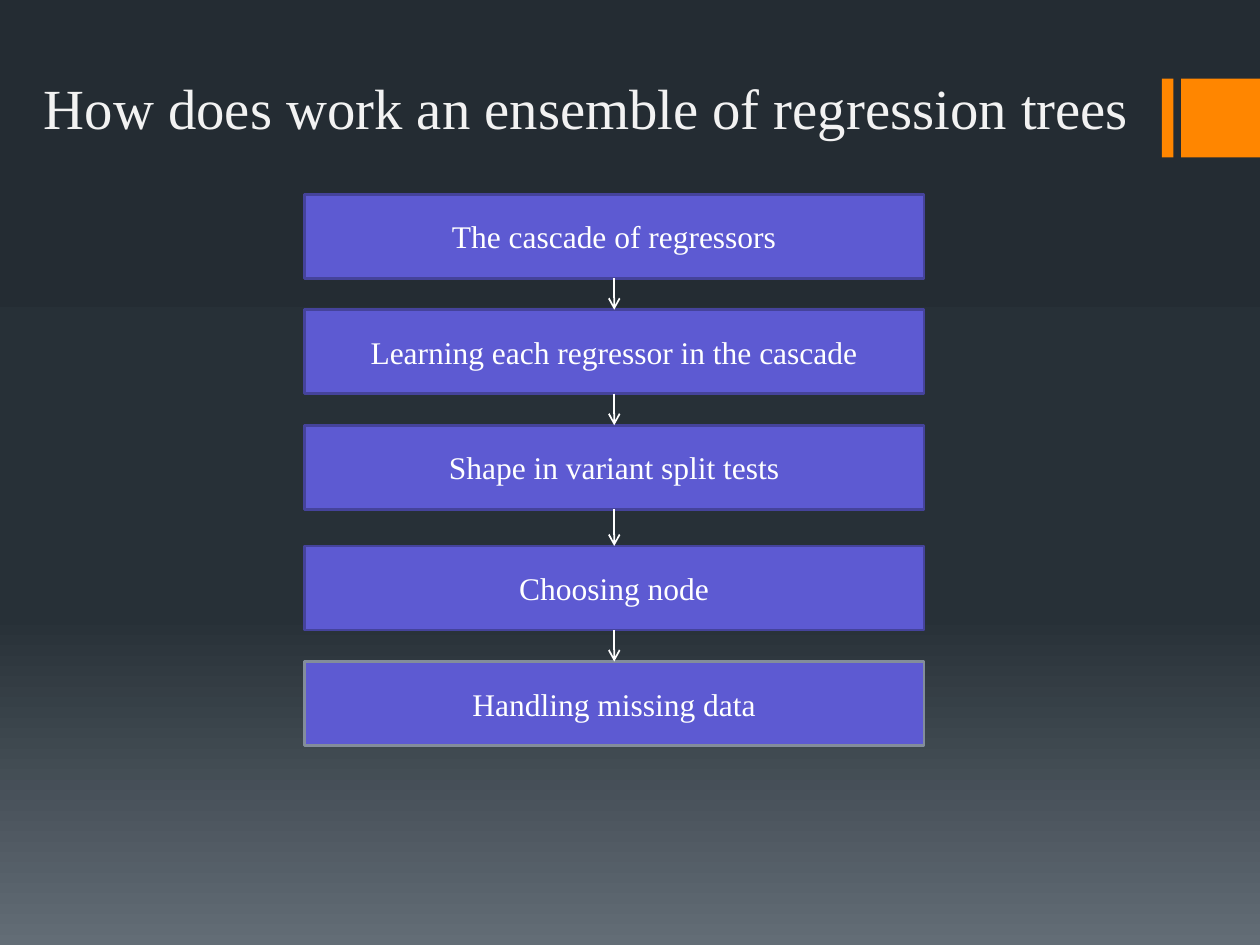
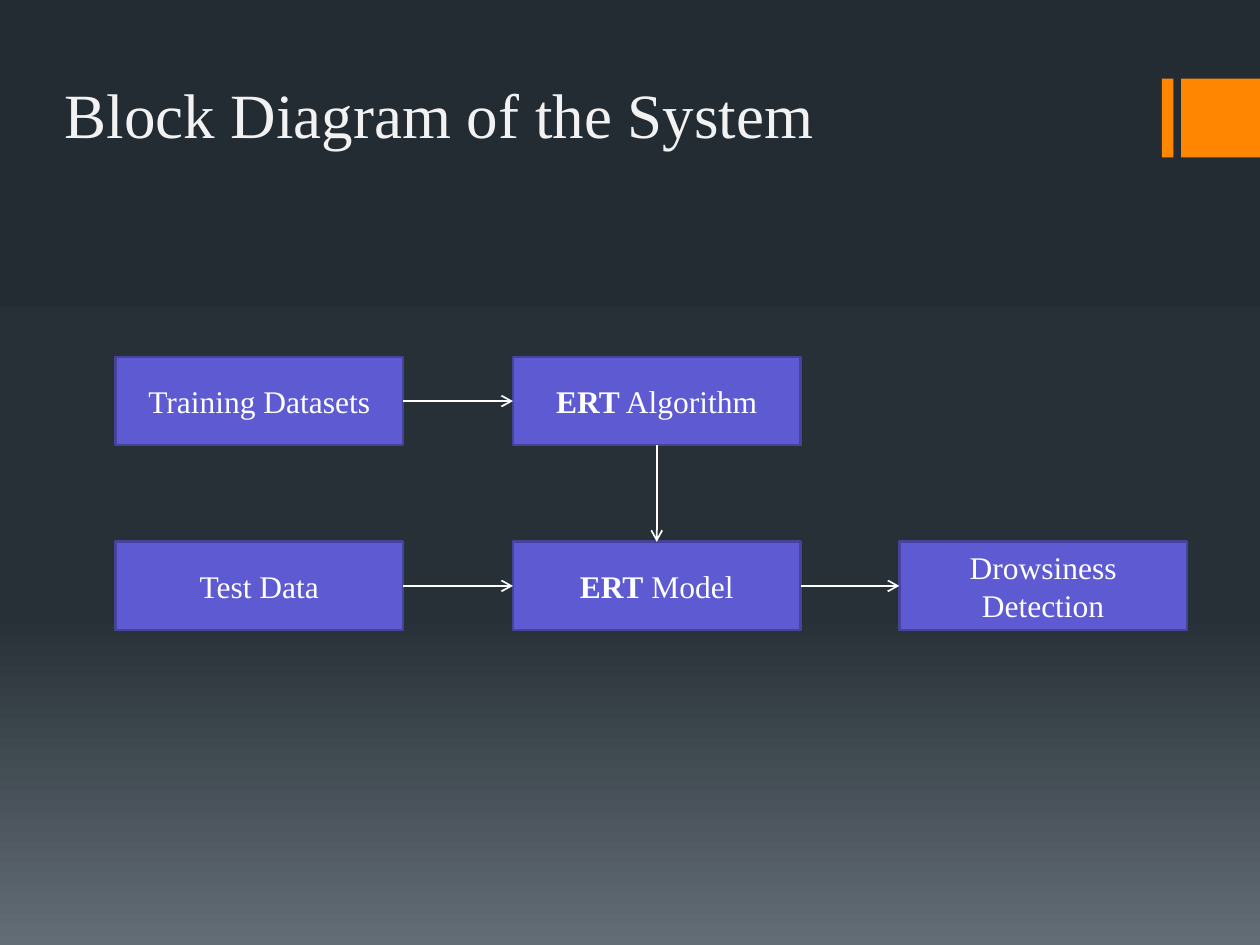
from dataclasses import dataclass

from lxml import etree
from pptx import Presentation, util as u
from pptx.dml.color import RGBColor
from pptx.enum import shapes as s, text as t
from pptx.oxml import parse_xml
from pptx.oxml.ns import nsdecls, qn

# Theme
FONT = "Times New Roman"
ORANGE = RGBColor(0xFF, 0x86, 0x00)
VIOLET = RGBColor(0x5D, 0x5A, 0xD2)
INDIGO = RGBColor(0x45, 0x43, 0x9B)
GREY = RGBColor(0x83, 0x8D, 0x9B)
WHITE = RGBColor(0xFF, 0xFF, 0xFF)
PALE = RGBColor(0xF2, 0xF2, 0xF2)
SKY = ((0, RGBColor(0x24, 0x2C, 0x33)),
       (65, RGBColor(0x27, 0x30, 0x37)),
       (100, RGBColor(0x63, 0x6D, 0x76)))

# The slide is a grid of 120 columns by 90 rows
deck = Presentation()
deck.slide_width, deck.slide_height = u.Inches(10), u.Inches(7.5)
COL, ROW = deck.slide_width / 120, deck.slide_height / 90

# Connection sites of a rectangle
TOP, LEFT, BASE, RIGHT = range(4)


@dataclass
class Area:
    col: float
    row: float
    wide: float
    high: float

    def place(self) -> tuple:
        return (u.Emu(int(self.col * COL)), u.Emu(int(self.row * ROW)),
                u.Emu(int(self.wide * COL)), u.Emu(int(self.high * ROW)))


@dataclass
class Block:
    text: str
    area: Area
    lead: str = ""  # bold words before the text
    edge: RGBColor = INDIGO


BANDS = (Area(110.65, 7.5, 1.1, 7.5), Area(112.5, 7.5, 7.5, 7.5))


def style(run, size: float, color: RGBColor, bold: bool = False) -> None:
    font = run.font
    font.name, font.size, font.bold = FONT, u.Pt(size), bold
    font.color.rgb = color


def rect(slide, area: Area, fill: RGBColor):
    box = slide.shapes.add_shape(s.MSO_SHAPE.RECTANGLE, *area.place())
    box.shadow.inherit = False
    box.fill.solid()
    box.fill.fore_color.rgb = fill
    box.line.fill.background()
    return box


def paint(slide) -> None:
    """Give the slide its vertical three-stop gradient."""
    stops = "".join(f'<a:gs pos="{pos * 1000}"><a:srgbClr val="{color}"/></a:gs>'
                    for pos, color in SKY)
    back = parse_xml(
        f'<p:bg {nsdecls("p", "a")}><p:bgPr><a:gradFill rotWithShape="1">'
        f'<a:gsLst>{stops}</a:gsLst><a:lin ang="5400000" scaled="0"/>'
        '</a:gradFill><a:effectLst/></p:bgPr></p:bg>')
    slide.element.cSld.insert(0, back)


def start(title: str, area: Area, size: float):
    """Add a slide with background, bands and title."""
    slide = deck.slides.add_slide(deck.slide_layouts[6])
    paint(slide)
    for band in BANDS:
        rect(slide, band, ORANGE)
    frame = slide.shapes.add_textbox(*area.place()).text_frame
    frame.word_wrap = True
    frame.vertical_anchor = t.MSO_ANCHOR.BOTTOM
    frame.text = title
    style(frame.paragraphs[0].runs[0], size, PALE)
    return slide


def draw(slide, block: Block):
    box = rect(slide, block.area, VIOLET)
    box.line.color.rgb, box.line.width = block.edge, u.Pt(1.5)
    frame = box.text_frame
    frame.word_wrap = True
    frame.vertical_anchor = t.MSO_ANCHOR.MIDDLE
    para = frame.paragraphs[0]
    para.alignment = t.PP_ALIGN.CENTER
    for words, bold in ((block.lead, True), (block.text, False)):
        if words:
            run = para.add_run()
            run.text = words
            style(run, 18, WHITE, bold)
    return box


def link(slide, first, out: int, last, into: int) -> None:
    """Join two boxes with an open arrow."""
    line = slide.shapes.add_connector(s.MSO_CONNECTOR.STRAIGHT, 0, 0, 0, 0)
    line.begin_connect(first, out)
    line.end_connect(last, into)
    line.line.color.rgb, line.line.width = WHITE, u.Pt(1)
    etree.SubElement(line.line._get_or_add_ln(), qn("a:tailEnd"), type="arrow")
    etree.SubElement(line.element.spPr, qn("a:effectLst"))


# Slide 1: a column of steps, with a wider gap before the fourth
STEPS = ("The cascade of regressors", "Learning each regressor in the cascade",
         "Shape in variant split tests", "Choosing node",
         "Handling missing data")
slide = start("How does work an ensemble of regression trees",
              Area(3, 4, 108, 10), 32.4)
chain = []
for i, step in enumerate(STEPS):
    row = 18.5 + 11 * i + (0.5 if i > 2 else 0)
    edge = GREY if step == STEPS[-1] else INDIGO
    chain.append(draw(slide, Block(step, Area(29, row, 59, 8), edge=edge)))
for above, below in zip(chain, chain[1:]):
    link(slide, above, BASE, below, TOP)

# Slide 2: training row above, test row below
COLS, ROWS = (11, 48.85, 85.65), (34, 51.6)


def cell(col: int, row: int) -> Area:
    return Area(COLS[col], ROWS[row], 27.4, 8.4)


slide = start("Block Diagram of the System", Area(5, 5, 102, 10), 36)
train, algo, test, model, alarm = (draw(slide, block) for block in (
    Block("Training Datasets", cell(0, 0)),
    Block(" Algorithm", cell(1, 0), lead="ERT"),
    Block("Test Data", cell(0, 1)),
    Block(" Model", cell(1, 1), lead="ERT"),
    Block("Drowsiness Detection", cell(2, 1))))
for first, last in ((train, algo), (test, model), (model, alarm)):
    link(slide, first, RIGHT, last, LEFT)
link(slide, algo, BASE, model, TOP)

deck.save("out.pptx")
